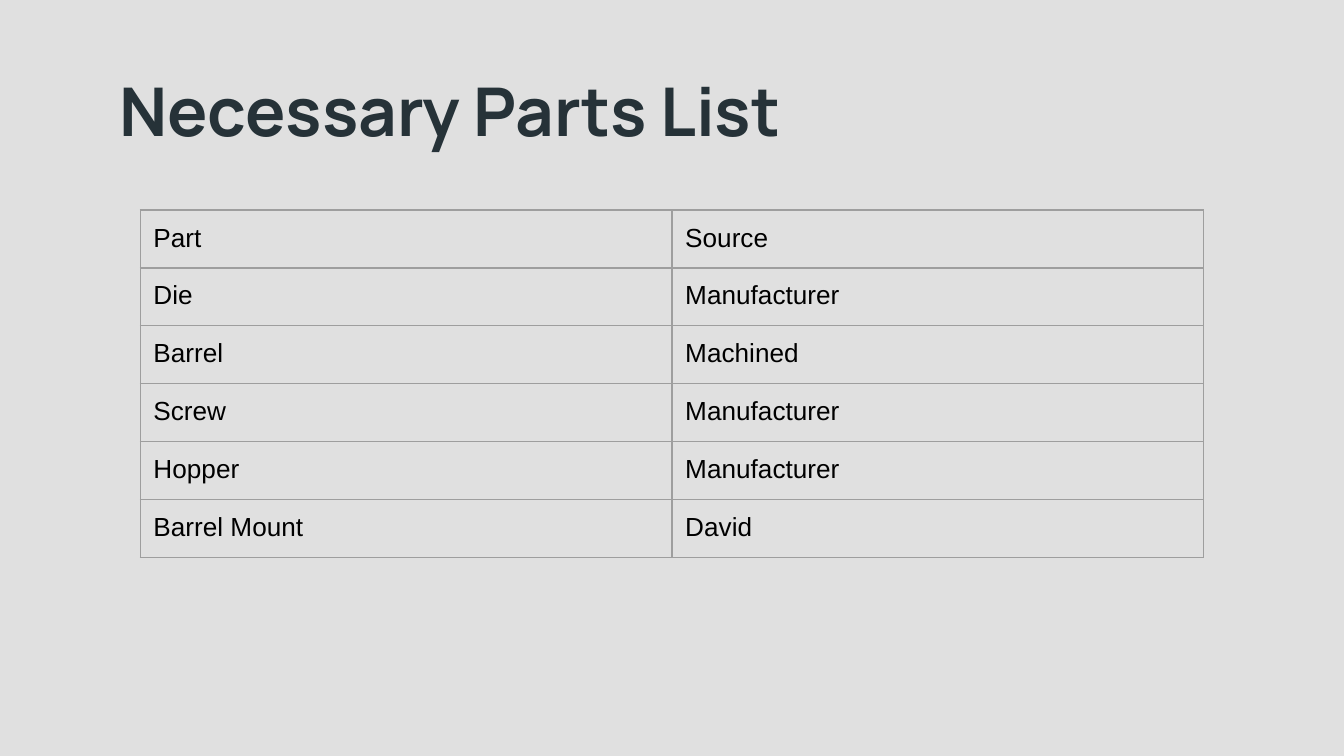
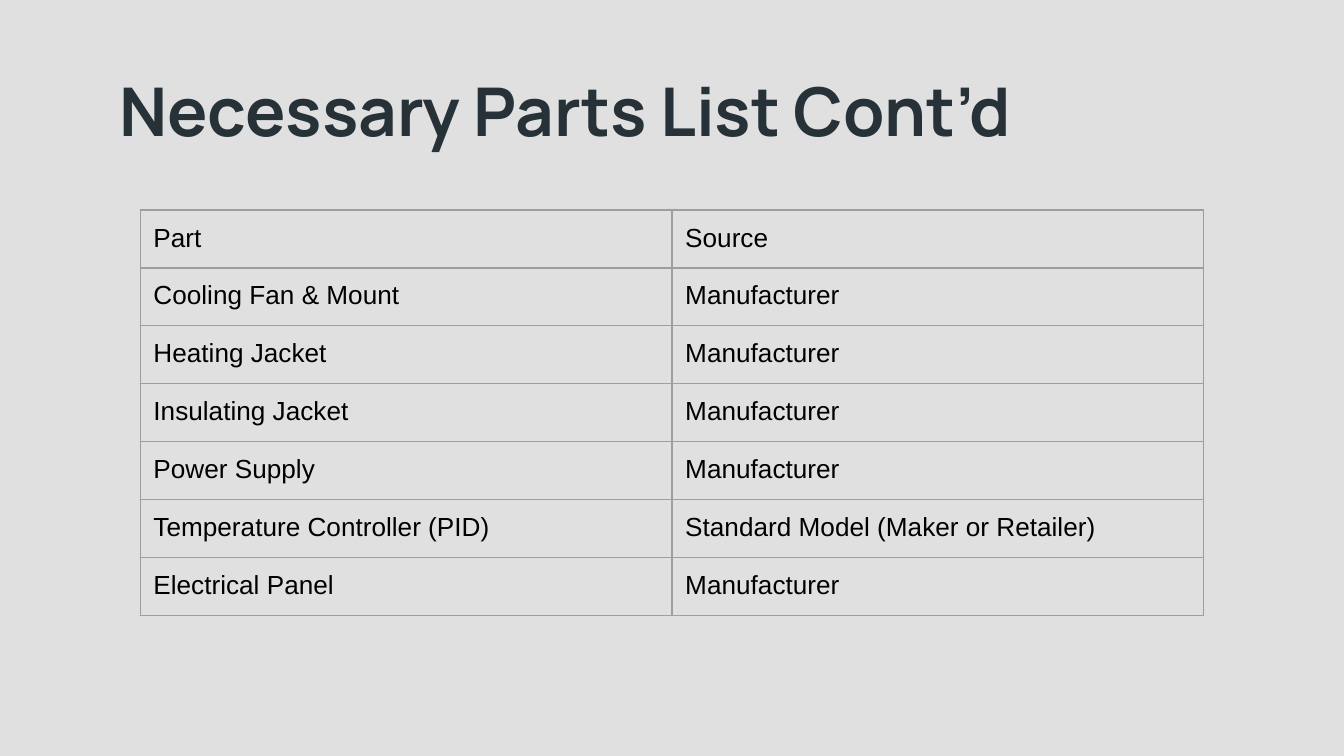
import pptx
import pptx.dml.color
import pptx.enum.text
import pptx.oxml
import pptx.oxml.ns
import pptx.util

Cm = pptx.util.Cm
Pt = pptx.util.Pt
RGBColor = pptx.dml.color.RGBColor

BACKGROUND = RGBColor(0xE0, 0xE0, 0xE0)
TITLE_COLOR = RGBColor(0x26, 0x32, 0x38)
CELL_COLOR = RGBColor(0x00, 0x00, 0x00)
BORDER_COLOR = RGBColor(0x9E, 0x9E, 0x9E)
BORDER_WIDTH = Pt(0.75)
INSET = Cm(0.25)
COLUMN_WIDTH = Cm(10.05)
ROW_HEIGHT = Cm(1.06)

HEADINGS = ("Part", "Source")
MAIN_PARTS = (
    ("Die", "Manufacturer"),
    ("Barrel", "Machined"),
    ("Screw", "Manufacturer"),
    ("Hopper", "Manufacturer"),
    ("Barrel Mount", "David"),
)
FURTHER_PARTS = (
    ("Cooling Fan & Mount", "Manufacturer"),
    ("Heating Jacket", "Manufacturer"),
    ("Insulating Jacket", "Manufacturer"),
    ("Power Supply", "Manufacturer"),
    ("Temperature Controller (PID)", "Standard Model (Maker or Retailer)"),
    ("Electrical Panel", "Manufacturer"),
)


def write_text(frame, text, *, font, size, color, bold=False):
    frame.word_wrap = True
    frame.margin_left = frame.margin_right = INSET
    frame.margin_top = frame.margin_bottom = INSET
    frame.vertical_anchor = pptx.enum.text.MSO_ANCHOR.TOP
    paragraph = frame.paragraphs[0]
    paragraph.alignment = pptx.enum.text.PP_ALIGN.LEFT
    run = paragraph.add_run()
    run.text = text
    run.font.name = font
    run.font.size = Pt(size)
    run.font.bold = bold
    run.font.color.rgb = color


def add_title(slide, title):
    heading = slide.shapes.add_textbox(Cm(2), Cm(1.07), Cm(21.4), Cm(1.7))
    write_text(heading.text_frame, title, font="Manrope", size=36,
               color=TITLE_COLOR, bold=True)


def outline_cell(cell):
    properties = cell._tc.get_or_add_tcPr()
    for side in ("lnL", "lnR", "lnT", "lnB"):
        properties.append(pptx.oxml.parse_xml(
            f'<a:{side} {pptx.oxml.ns.nsdecls("a")} w="{BORDER_WIDTH}">'
            f'<a:solidFill><a:srgbClr val="{BORDER_COLOR}"/></a:solidFill>'
            f'<a:prstDash val="solid"/></a:{side}>'))


def add_parts_table(slide, parts):
    rows = (HEADINGS, *parts)
    parts_table = slide.shapes.add_table(
        len(rows), len(HEADINGS), Cm(2.65), Cm(3.97),
        COLUMN_WIDTH * len(HEADINGS), ROW_HEIGHT * len(rows)).table
    parts_table.first_row = False
    parts_table.horz_banding = False
    for column in parts_table.columns:
        column.width = COLUMN_WIDTH
    for table_row, row in zip(parts_table.rows, rows):
        table_row.height = ROW_HEIGHT
        for cell, text in zip(table_row.cells, row):
            write_text(cell.text_frame, text, font="Arial", size=14,
                       color=CELL_COLOR)
            cell.margin_left = cell.margin_right = INSET
            cell.margin_top = cell.margin_bottom = INSET
            outline_cell(cell)
            cell.fill.background()


def add_parts_slide(deck, title, parts):
    slide = deck.slides.add_slide(deck.slide_layouts[6])
    slide.background.fill.solid()
    slide.background.fill.fore_color.rgb = BACKGROUND
    add_title(slide, title)
    add_parts_table(slide, parts)


def main():
    deck = pptx.Presentation()
    deck.slide_width = Cm(25.4)
    deck.slide_height = Cm(14.29)
    add_parts_slide(deck, "Necessary Parts List", MAIN_PARTS)
    add_parts_slide(deck, "Necessary Parts List Cont’d", FURTHER_PARTS)
    deck.save("out.pptx")


if __name__ == "__main__":
    main()
